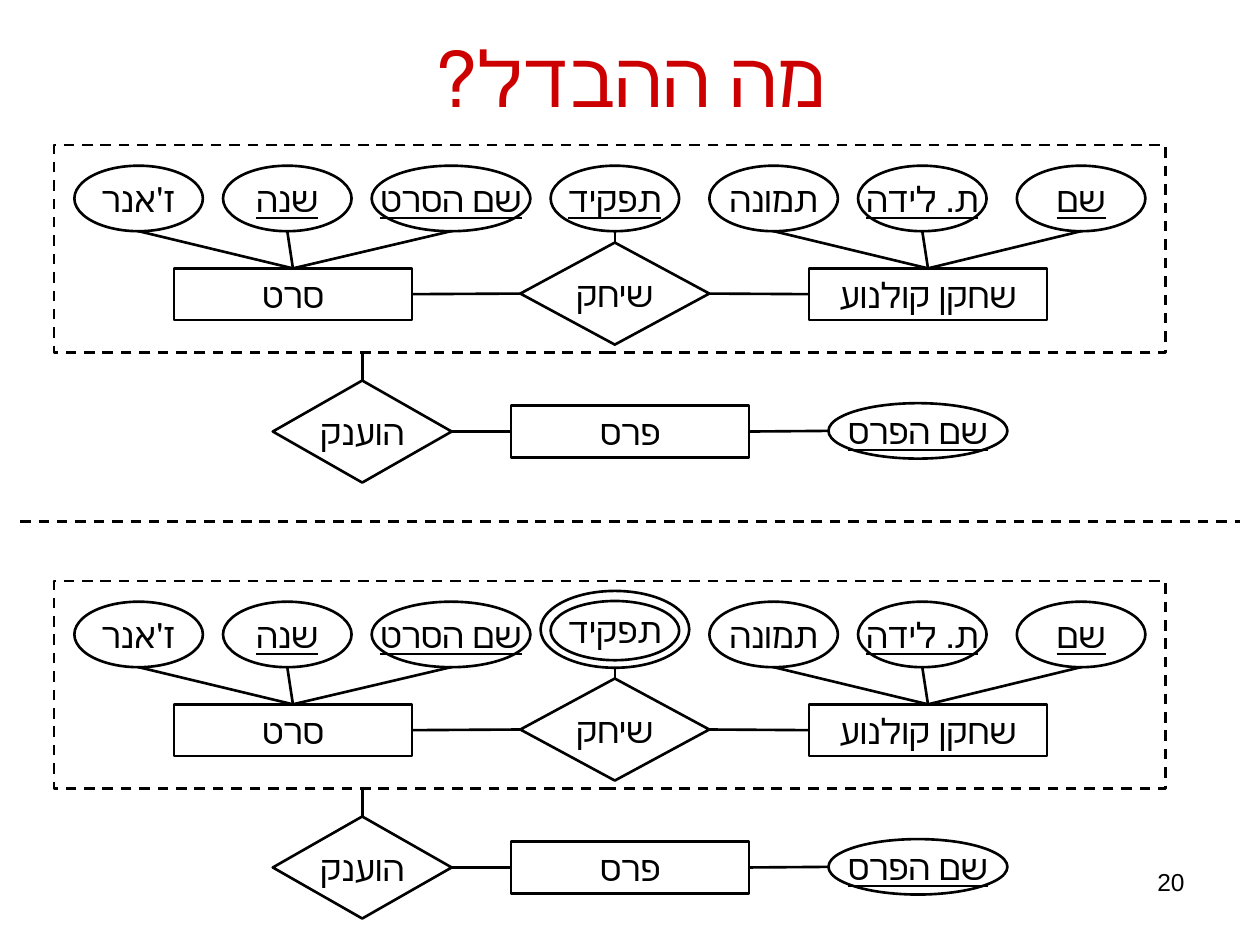
from pptx import Presentation
from pptx.dml.color import RGBColor
from pptx.enum.dml import MSO_LINE
from pptx.enum.shapes import MSO_CONNECTOR, MSO_SHAPE
from pptx.enum.text import MSO_ANCHOR, PP_ALIGN
from pptx.oxml.ns import qn
from pptx.util import Inches, Pt
from lxml.etree import SubElement

BLACK = RGBColor(0x00, 0x00, 0x00)
RED = RGBColor(0xCC, 0x00, 0x00)

presentation = Presentation()
presentation.slide_width = Inches(10)
presentation.slide_height = Inches(7.5)
slide = presentation.slides.add_slide(presentation.slide_layouts[6])

# Every position below is counted in these columns and rows.
COLUMN = presentation.slide_width // 100
ROW = presentation.slide_height // 75
PANEL_ROWS = (0, 34.6)

TOP, LEFT, BOTTOM, RIGHT = range(4)
SIDE_SHARES = {TOP: (0.5, 0), LEFT: (0, 0.5), BOTTOM: (0.5, 1), RIGHT: (1, 0.5)}


def write(shape, text, size=20, color=BLACK, align=PP_ALIGN.CENTER,
          anchor=MSO_ANCHOR.MIDDLE, underline=None, wrap=False, rtl=False):
    frame = shape.text_frame
    frame.word_wrap = wrap
    frame.vertical_anchor = anchor
    paragraph = frame.paragraphs[0]
    paragraph.alignment = align
    if rtl:
        paragraph._p.get_or_add_pPr().set("rtl", "1")
    run = paragraph.add_run()
    run.text = text
    run.font.name = "Arial"
    run.font.size = Pt(size)
    run.font.color.rgb = color
    run.font.underline = underline


def connect(shapes, start, start_side, end, end_side):
    """Draw a line between two side middles; ovals number their sites differently, so are not joined."""
    points = []
    for shape, side in ((start, start_side), (end, end_side)):
        across, down = SIDE_SHARES[side]
        points += [int(shape.left + across * shape.width), int(shape.top + down * shape.height)]
    connector = shapes.add_connector(MSO_CONNECTOR.STRAIGHT, *points)
    if start.auto_shape_type != MSO_SHAPE.OVAL:
        connector.begin_connect(start, start_side)
    if end.auto_shape_type != MSO_SHAPE.OVAL:
        connector.end_connect(end, end_side)
    connector.line.color.rgb = BLACK
    connector.line.width = Pt(1.5)
    SubElement(connector._element.spPr, qn("a:effectLst"))


title = slide.shapes.add_textbox(5 * COLUMN, 3 * ROW, 90 * COLUMN, 6.1 * ROW)
write(title, "מה ההבדל?", size=44, color=RED, wrap=True, rtl=True)

page_number = slide.shapes.add_textbox(71.7 * COLUMN, 68.3 * ROW, 23.3 * COLUMN, 5.2 * ROW)
write(page_number, "20", size=14, align=PP_ALIGN.RIGHT, anchor=MSO_ANCHOR.TOP, wrap=True)

divider = slide.shapes.add_connector(
    MSO_CONNECTOR.STRAIGHT, int(1.6 * COLUMN), int(41.4 * ROW), int(98.4 * COLUMN), int(41.4 * ROW))
divider.line.color.rgb = BLACK
divider.line.width = Pt(1.5)
divider.line.dash_style = MSO_LINE.DASH
SubElement(divider._element.spPr, qn("a:effectLst"))

# name: kind, left, top, width, height, text, underlined
COMMON_SHAPES = {
    "aggregate": (MSO_SHAPE.RECTANGLE, 4.3, 11.5, 88.2, 16.5, "", False),
    "actor": (MSO_SHAPE.RECTANGLE, 64.2, 21.3, 18.9, 4.1, "שחקן קולנוע", False),
    "picture": (MSO_SHAPE.OVAL, 56.3, 13.15, 10.2, 5.2, "תמונה", False),
    "birth": (MSO_SHAPE.OVAL, 68.1, 13.15, 10.2, 5.2, "ת. לידה", True),
    "actor name": (MSO_SHAPE.OVAL, 80.7, 13.15, 10.2, 5.2, "שם", True),
    "film": (MSO_SHAPE.RECTANGLE, 13.8, 21.3, 18.9, 4.1, "סרט", False),
    "genre": (MSO_SHAPE.OVAL, 5.9, 13.15, 10.2, 5.2, "ז'אנר", False),
    "year": (MSO_SHAPE.OVAL, 17.7, 13.15, 10.2, 5.2, "שנה", True),
    "film name": (MSO_SHAPE.OVAL, 29.5, 13.15, 12.6, 5.2, "שם הסרט", True),
    "played": (MSO_SHAPE.DIAMOND, 41.3, 19.25, 15, 8.1, "שיחק", False),
    "prize": (MSO_SHAPE.RECTANGLE, 40.55, 32.2, 18.9, 4.1, "פרס", False),
    "prize name": (MSO_SHAPE.OVAL, 65.75, 32, 14.2, 4.4, "שם הפרס", True),
    "awarded": (MSO_SHAPE.DIAMOND, 21.65, 30.2, 14.2, 8.1, "הוענק", False),
}
ROLE_SHAPES = (
    {"role": (MSO_SHAPE.OVAL, 43.7, 13.15, 10.2, 5.2, "תפקיד", True)},
    {"role": (MSO_SHAPE.OVAL, 42.9, 12.3, 11.8, 6.1, "תפקיד", False),
     "role inner ring": (MSO_SHAPE.OVAL, 43.7, 13.1, 10.2, 4.7, "", False)},
)
LINKS = [
    ("actor", TOP, "birth", BOTTOM),
    ("actor", TOP, "actor name", BOTTOM),
    ("actor", TOP, "picture", BOTTOM),
    ("film", TOP, "year", BOTTOM),
    ("film", TOP, "film name", BOTTOM),
    ("film", TOP, "genre", BOTTOM),
    ("film", RIGHT, "played", LEFT),
    ("played", RIGHT, "actor", LEFT),
    ("role", BOTTOM, "played", TOP),
    ("prize", RIGHT, "prize name", LEFT),
    ("awarded", RIGHT, "prize", LEFT),
]

for panel_row, role_shapes in zip(PANEL_ROWS, ROLE_SHAPES):
    shapes = slide.shapes.add_group_shape().shapes
    drawn = {}
    for name, (kind, left, top, width, height, text, underlined) in (COMMON_SHAPES | role_shapes).items():
        shape = shapes.add_shape(kind, int(left * COLUMN), int((top + panel_row) * ROW),
                                 int(width * COLUMN), int(height * ROW))
        shape.shadow.inherit = False
        shape.fill.background()
        shape.line.color.rgb = BLACK
        shape.line.width = Pt(1.5)
        if text:
            write(shape, text, underline=underlined or None)
        drawn[name] = shape
    drawn["aggregate"].line.dash_style = MSO_LINE.DASH

    for start, start_side, end, end_side in LINKS:
        connect(shapes, drawn[start], start_side, drawn[end], end_side)

    awarded = drawn["awarded"]
    aggregate = drawn["aggregate"]
    middle = awarded.left + awarded.width // 2
    stem = shapes.add_connector(MSO_CONNECTOR.STRAIGHT, middle, awarded.top,
                                middle, aggregate.top + aggregate.height)
    stem.begin_connect(awarded, TOP)
    stem.line.color.rgb = BLACK
    stem.line.width = Pt(1.5)
    SubElement(stem._element.spPr, qn("a:effectLst"))

presentation.save("out.pptx")
